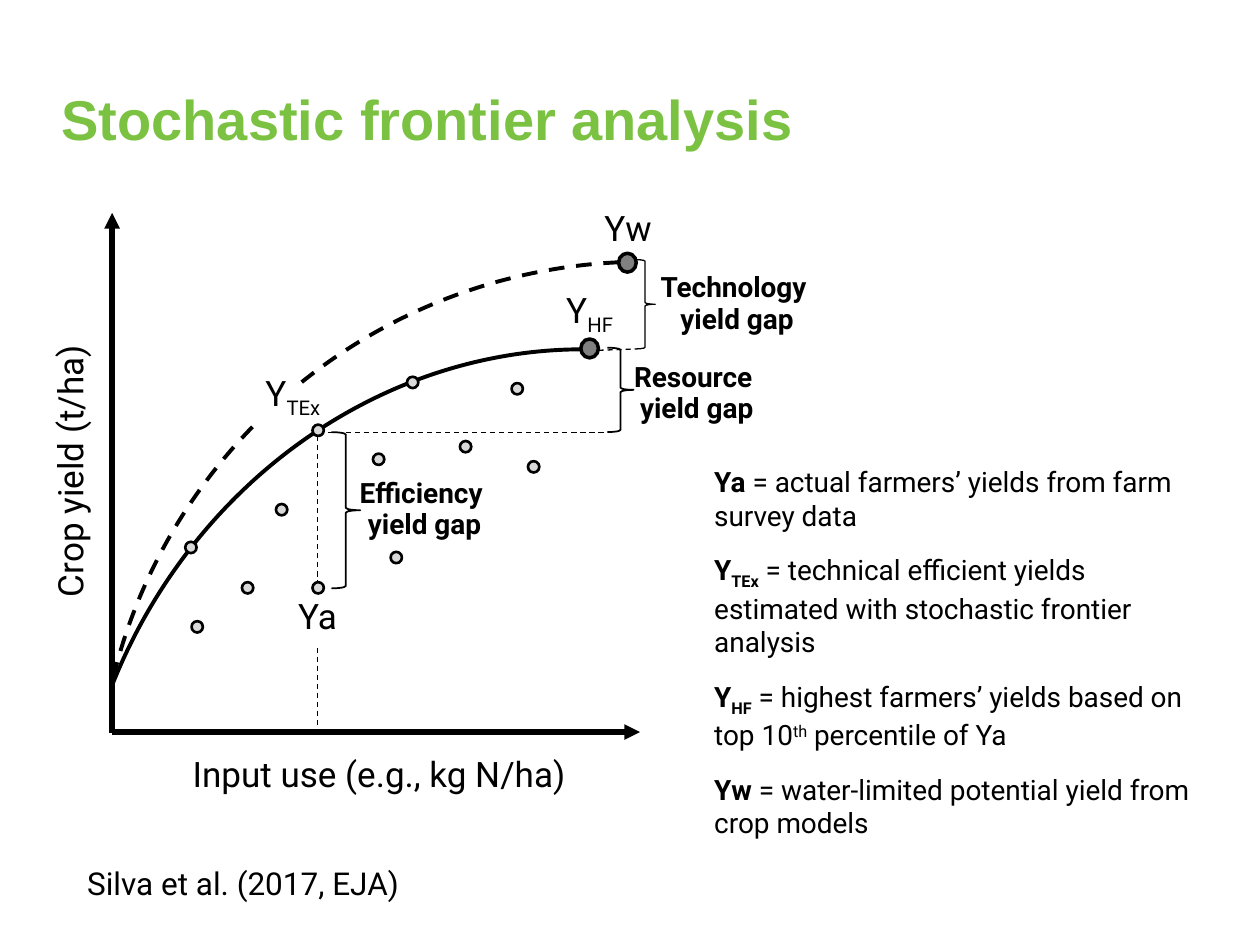
from lxml.etree import SubElement
from pptx import Presentation
from pptx.dml.color import RGBColor
from pptx.enum.dml import MSO_LINE
from pptx.enum.shapes import MSO_CONNECTOR, MSO_SHAPE
from pptx.enum.text import MSO_ANCHOR, MSO_AUTO_SIZE, PP_ALIGN
from pptx.oxml.ns import qn
from pptx.util import Inches, Pt

COLORS = {"ink": "000000", "title": "7BC142", "farm": "D9D9D9",
          "peak": "808080", "paper": "FFFFFF"}
HUES = {name: RGBColor.from_string(code) for name, code in COLORS.items()}

prs = Presentation()
prs.slide_width, prs.slide_height = Inches(10), Inches(7.5)
slide = prs.slides.add_slide(prs.slide_layouts[6])
shapes = slide.shapes


def draw(kind, box, fill=None, width=None):
    shape = shapes.add_shape(kind, *[Inches(n) for n in box])
    shape.shadow.inherit = False
    if fill:
        shape.fill.solid()
        shape.fill.fore_color.rgb = HUES[fill]
    else:
        shape.fill.background()
    if width:
        shape.line.color.rgb = HUES["ink"]
        shape.line.width = Pt(width)
    else:
        shape.line.fill.background()
    return shape


def write(box, paras, size, align=PP_ALIGN.CENTER, wrap=True, font="Roboto",
          color="ink", lead=None, after=None):
    """Each paragraph is a list of runs: (text, bold, baseline percent)."""
    label = shapes.add_textbox(*[Inches(n) for n in box])
    frame = label.text_frame
    frame.word_wrap = wrap
    frame.auto_size = MSO_AUTO_SIZE.SHAPE_TO_FIT_TEXT
    for i, runs in enumerate(paras):
        para = frame.paragraphs[0] if i == 0 else frame.add_paragraph()
        para.alignment = align
        if lead:
            para.line_spacing = Pt(lead)
        if after:
            para.space_after = Pt(after)
        for text, bold, base in runs:
            run = para.add_run()
            run.text = text
            run.font.name, run.font.size, run.font.bold = font, Pt(size), bold
            run.font.color.rgb = HUES[color]
            if base:
                run.font._element.set("baseline", str(base * 1000))
    return label


# Frontier curves: box, rotation, start and end of the arc, dashed
curves = [
    ((0.3, 3.05, 8.25, 7.62), 290.5, 162.825, 206.045, False),
    ((0.77, 2.08, 8.67, 8.66), 313.2, 144.362, 188.763, True),
]
for box, turn, start, end, dashed in curves:
    arc = draw(MSO_SHAPE.ARC, box, width=2.25)
    arc.rotation = turn
    arc.adjustments[0], arc.adjustments[1] = start, end
    if dashed:
        arc.line.dash_style = MSO_LINE.DASH

# Axes with arrows, then dashed guides
lines = [
    (0.89, 1.69, 0.89, 5.82, True),
    (5.08, 5.81, 0.89, 5.81, True),
    (2.52, 3.46, 2.52, 4.62, False),
    (2.52, 4.71, 2.52, 5.82, False),
    (2.6, 3.43, 4.8, 3.43, False),
    (4.75, 2.78, 5.04, 2.77, False),
]
for *ends, axis in lines:
    line = shapes.add_connector(MSO_CONNECTOR.STRAIGHT, *[Inches(n) for n in ends])
    line.line.color.rgb = HUES["ink"]
    line.line.width = Pt(3 if axis else 0.75)
    if axis:
        SubElement(line.line._get_or_add_ln(), qn("a:headEnd"), type="triangle")
    else:
        line.line.dash_style = MSO_LINE.DASH
    SubElement(line._element.spPr, qn("a:effectLst"))

# White patches behind the point labels
for box in [(2.26, 4.67, 0.52, 0.44), (1.88, 2.98, 0.48, 0.37)]:
    draw(MSO_SHAPE.RECTANGLE, box, "paper")

# Yield gaps: brace, line width, label box, first word
gaps = [
    ((2.63, 3.43, 0.23, 1.24), 1, (2.74, 3.74, 1.26, 0.61), "Efficiency "),
    ((4.82, 2.76, 0.21, 0.67), 1, (4.9, 2.82, 1.26, 0.61), "Resource "),
    ((5.04, 2.06, 0.16, 0.71), 0.75, (5.12, 2.11, 1.46, 0.61), "Technology "),
]
for brace, width, box, word in gaps:
    draw(MSO_SHAPE.RIGHT_BRACE, brace, width=width)
    write(box, [[(word, True, 0)], [("yield gap", True, 0)]], 16, lead=18)

# Farm yields and the two peak yields
farms = [(4.63, 2.73), (4.06, 3.04), (3.65, 3.5), (2.19, 4), (1.52, 4.93),
         (1.92, 4.62), (4.19, 3.66), (2.48, 4.62), (3.1, 4.38), (2.96, 3.6),
         (3.23, 2.99), (2.48, 3.37), (1.47, 4.3)]
for x, y in farms:
    draw(MSO_SHAPE.OVAL, (x, y, 0.09, 0.09), "farm", 1.5)
for x, y in [(4.61, 2.69), (4.91, 2.01)]:
    draw(MSO_SHAPE.OVAL, (x, y, 0.14, 0.15), "peak", 2)

# Point and axis labels
labels = [
    ((4.69, 1.59, 0.59, 0.44), "Yw", "", False),
    ((4.36, 2.24, 0.64, 0.44), "Y", "HF", False),
    ((1.9, 2.9, 0.85, 0.44), "Y", "TEx", True),
    ((2.26, 4.67, 0.52, 0.44), "Ya", "", False),
    ((1.41, 5.92, 3.2, 0.44), "Input use (e.g., kg N/ha)", "", False),
]
for box, text, sub, wrap in labels:
    runs = [(text, False, 0)]
    if sub:
        runs.append((sub, False, -25))
    write(box, [runs], 20, wrap=wrap)
side = write((-0.76, 3.52, 2.63, 0.44), [[("Crop yield (t/ha)", False, 0)]], 20)
side.rotation = 270

# Definitions and citation
terms = [
    [("Ya", True, 0), (" = actual farmers’ yields from farm survey data", False, 0)],
    [("Y", True, 0), ("TEx", True, -25),
     (" = technical efficient yields estimated with stochastic frontier analysis",
      False, 0)],
    [("Y", True, 0), ("HF", True, -25),
     (" = highest farmers’ yields based on top 10", False, 0),
     ("th", False, 30), (" percentile of Ya", False, 0)],
    [("Yw", True, 0), (" = water-limited potential yield from crop models", False, 0)],
]
write((5.57, 3.64, 4.11, 3.03), terms, 16, PP_ALIGN.LEFT, after=12)
write((0.29, 6.81, 3.34, 0.4), [[("Silva et al. (2017, EJA) ", False, 0)]], 18)

# Title
title = write((0.39, 0.31, 9.21, 1.25), [[("Stochastic frontier analysis", True, 0)]],
              32, PP_ALIGN.LEFT, font="Arial", color="title")
title.text_frame.auto_size = MSO_AUTO_SIZE.NONE
title.text_frame.vertical_anchor = MSO_ANCHOR.MIDDLE

prs.save("out.pptx")
